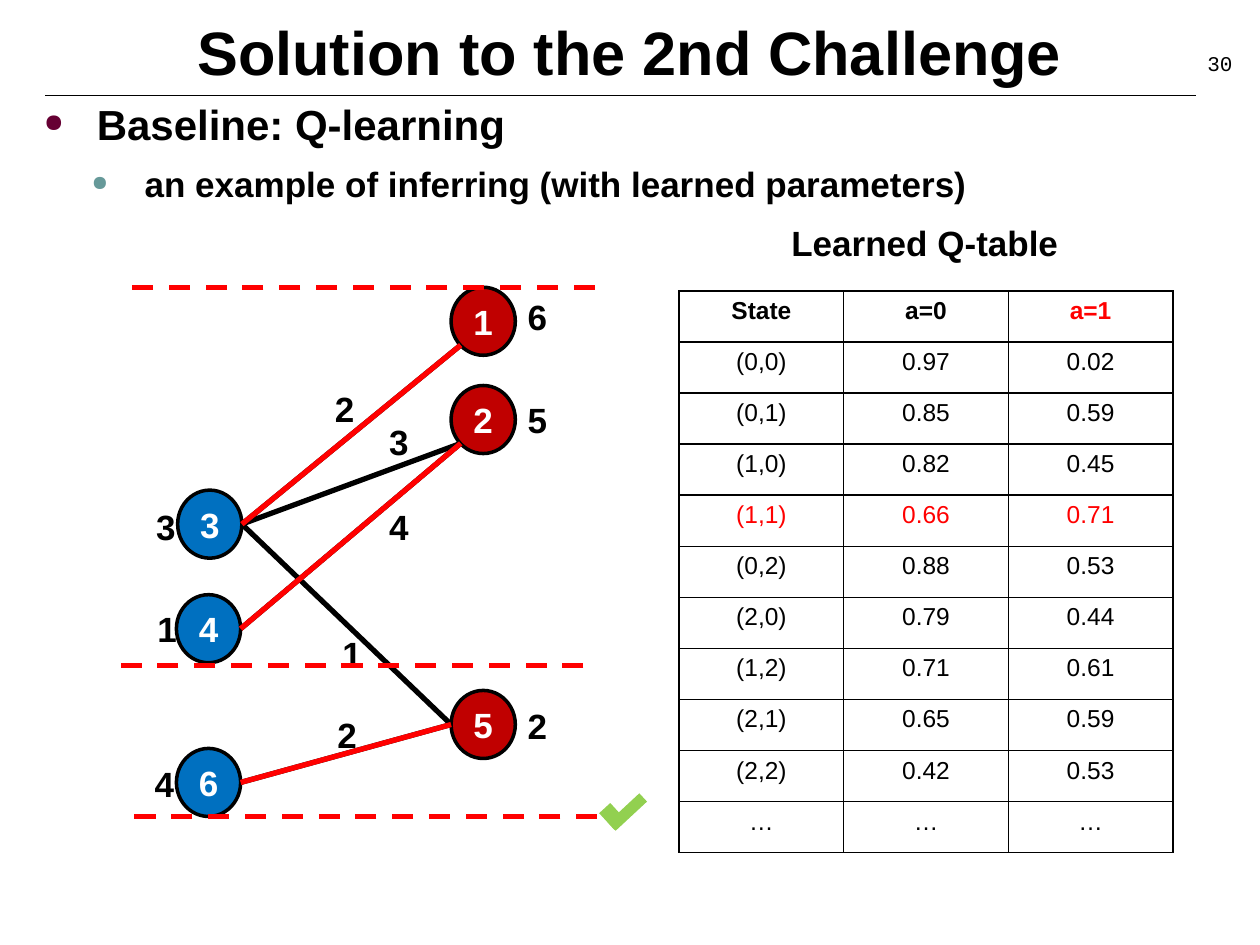
from lxml import etree
from pptx import Presentation
from pptx.dml.color import RGBColor
from pptx.enum.dml import MSO_LINE
from pptx.enum.shapes import MSO_CONNECTOR, MSO_SHAPE
from pptx.enum.text import MSO_ANCHOR, PP_ALIGN
from pptx.oxml.ns import qn
from pptx.util import Inches, Pt

BLACK = RGBColor(0x00, 0x00, 0x00)
WHITE = RGBColor(0xFF, 0xFF, 0xFF)
RED = RGBColor(0xFF, 0x00, 0x00)
ACTOR_BLUE = RGBColor(0x00, 0x70, 0xC0)
ACTOR_RED = RGBColor(0xC0, 0x00, 0x00)
CHECK_GREEN = RGBColor(0x92, 0xD0, 0x50)
PLUM = RGBColor(0x66, 0x00, 0x33)
TEAL = RGBColor(0x66, 0x99, 0x99)

STRAIGHT = MSO_CONNECTOR.STRAIGHT
OVAL, RECTANGLE = MSO_SHAPE.OVAL, MSO_SHAPE.RECTANGLE
DASH = MSO_LINE.DASH
TOP, MIDDLE, BOTTOM = MSO_ANCHOR.TOP, MSO_ANCHOR.MIDDLE, MSO_ANCHOR.BOTTOM
LEFT, CENTER = PP_ALIGN.LEFT, PP_ALIGN.CENTER
RIGHT, JUSTIFY = PP_ALIGN.RIGHT, PP_ALIGN.JUSTIFY

# The slide is a grid of 100 columns by 75 rows of square cells.
COLUMNS, ROWS = 100, 75
CELL = Inches(0.1)

TITLE_FONT = {"name": "Arial", "size": Pt(35), "bold": True}
HEADING_FONT = {"name": "Arial", "size": Pt(24), "bold": True}
LABEL_FONT = {"name": "Arial", "size": Pt(20), "bold": True}
HEADER_FONT = {"name": "Arial", "size": Pt(14), "bold": True}
VALUE_FONT = {"name": "Arial", "size": Pt(14), "bold": False}
NUMBER_FONT = {"name": "Courier New", "size": Pt(12)}

NODE_WIDTH, NODE_HEIGHT = 5.1, 5.4
# node: column, row, fill
NODES = {
    "3": (14.1, 38.9, ACTOR_BLUE),
    "1": (35.8, 22.8, ACTOR_RED),
    "2": (35.8, 30.6, ACTOR_RED),
    "4": (14, 47.2, ACTOR_BLUE),
    "5": (35.8, 54.8, ACTOR_RED),
    "6": (14, 59.4, ACTOR_BLUE),
}
# Where an edge meets a node, as shares of the node's width and height
PORTS = {"left": (0, 0.5), "lower left": (0.15, 0.85), "right": (1, 0.5)}
# right node, its port, left node, matched
EDGES = [
    ("1", "lower left", "3", True),
    ("2", "lower left", "3", False),
    ("2", "lower left", "4", True),
    ("5", "left", "3", False),
    ("5", "left", "6", True),
]
# weight, column, row, height
EDGE_WEIGHTS = [
    ("2", 25.6, 30.3, 6.2), ("3", 29.9, 32.9, 6.2), ("4", 29.9, 39.6, 6.2),
    ("1", 26.2, 49.7, 6.2), ("2", 25.8, 56.1, 4.4),
]
# arrival label, column, row
NODE_LABELS = [
    ("6", 40.9, 23), ("5", 40.9, 31.1), ("3", 11.4, 39.6),
    ("1", 11.5, 47.7), ("2", 40.9, 55.4), ("4", 11.3, 60),
]
BATCH_WIDTH = 37
BATCH_LINES = [(10.2, 22.8), (9.3, 52.8), (10.4, 64.8)]
# column, row, width, height, rotation
CHECK_STROKES = [(47.7, 64.2, 1.8, 1.2, 47.5), (48.1, 64, 3.4, 0.9, 137.1)]

Q_TABLE = [
    ("State", "a=0", "a=1"),
    ("(0,0)", "0.97", "0.02"),
    ("(0,1)", "0.85", "0.59"),
    ("(1,0)", "0.82", "0.45"),
    ("(1,1)", "0.66", "0.71"),
    ("(0,2)", "0.88", "0.53"),
    ("(2,0)", "0.79", "0.44"),
    ("(1,2)", "0.71", "0.61"),
    ("(2,1)", "0.65", "0.59"),
    ("(2,2)", "0.42", "0.53"),
    ("…", "…", "…"),
]
CURRENT_STATE = "(1,1)"


def grid(*cells):
    return [round(cell * CELL) for cell in cells]


def set_all(target, values):
    for attribute, value in values.items():
        setattr(target, attribute, value)


def write(frame, text, font, color=BLACK, align=CENTER, anchor=TOP):
    set_all(frame, {"word_wrap": True, "vertical_anchor": anchor})
    return write_paragraph(frame.paragraphs[0], text, font, color, align)


def write_paragraph(paragraph, text, font, color, align):
    paragraph.alignment = align
    run = paragraph.add_run()
    run.text = text
    set_all(run.font, font)
    run.font.color.rgb = color
    return paragraph


def add_label(slide, area, text, font=LABEL_FONT, align=CENTER):
    label = slide.shapes.add_textbox(*grid(*area))
    write(label.text_frame, text, font, align=align)


def add_line(slide, start, end, color, width, dash=None):
    line = slide.shapes.add_connector(STRAIGHT, *grid(*start, *end))
    line.line.color.rgb = color
    set_all(line.line, {"width": Pt(width), "dash_style": dash})
    etree.SubElement(line._element.spPr, qn("a:effectLst"))


def add_plain_shape(shapes, kind, area, fill):
    shape = shapes.add_shape(kind, *grid(*area))
    shape.shadow.inherit = False
    shape.fill.solid()
    shape.fill.fore_color.rgb = fill
    return shape


def add_node(slide, name):
    column, row, fill = NODES[name]
    node = add_plain_shape(slide.shapes, OVAL, (column, row, NODE_WIDTH, NODE_HEIGHT), fill)
    node.line.color.rgb = BLACK
    node.line.width = Pt(2)
    write(node.text_frame, name, LABEL_FONT, WHITE, anchor=MIDDLE)


def port(name, side):
    column, row, _ = NODES[name]
    across, down = PORTS[side]
    return column + across * NODE_WIDTH, row + down * NODE_HEIGHT


def add_edges(slide, edges, color):
    for right_node, side, left_node, _ in edges:
        add_line(slide, port(right_node, side), port(left_node, "right"), color, 3)


def add_check_mark(slide):
    check = slide.shapes.add_group_shape()
    for *area, rotation in CHECK_STROKES:
        stroke = add_plain_shape(check.shapes, RECTANGLE, area, CHECK_GREEN)
        stroke.line.fill.background()
        stroke.rotation = rotation


def set_bullet(paragraph, color, margin):
    properties = paragraph._p.get_or_add_pPr()
    properties.set("marL", str(Inches(margin)))
    properties.set("indent", str(-Inches(0.42)))
    bullet_color = etree.SubElement(properties, qn("a:buClr"))
    etree.SubElement(bullet_color, qn("a:srgbClr"), val=str(color))
    etree.SubElement(properties, qn("a:buSzPct"), val="60000")
    etree.SubElement(properties, qn("a:buChar"), char="●")


def add_outline(slide):
    frame = slide.shapes.add_textbox(*grid(2.5, 7.6, 96.3, 63.8)).text_frame
    heading = write(frame, "Baseline: Q-learning", HEADING_FONT, align=JUSTIFY)
    set_all(heading, {"line_spacing": 0.95, "space_after": Pt(3)})
    set_bullet(heading, PLUM, 0.42)
    example = write_paragraph(frame.add_paragraph(),
                              "an example of inferring (with learned parameters)",
                              LABEL_FONT, BLACK, JUSTIFY)
    set_all(example, {"level": 1, "line_spacing": 0.95, "space_before": Pt(6)})
    set_bullet(example, TEAL, 0.8)


def set_borders(cell):
    properties = cell._tc.get_or_add_tcPr()
    for position, side in enumerate(("lnL", "lnR", "lnT", "lnB")):
        border = etree.Element(qn(f"a:{side}"), w=str(Pt(1)))
        fill = etree.SubElement(border, qn("a:solidFill"))
        etree.SubElement(fill, qn("a:srgbClr"), val=str(BLACK))
        properties.insert(position, border)


def add_q_table(slide):
    table = slide.shapes.add_table(len(Q_TABLE), len(Q_TABLE[0]),
                                   *grid(53.9, 23.1, 39.2, 44.6)).table
    set_all(table, {"first_row": False, "horz_banding": False})
    for row, values in enumerate(Q_TABLE):
        for column, value in enumerate(values):
            cell = table.cell(row, column)
            cell.fill.solid()
            cell.fill.fore_color.rgb = WHITE
            set_borders(cell)
            color = RED if value == "a=1" or values[0] == CURRENT_STATE else BLACK
            write_paragraph(cell.text_frame.paragraphs[0], value,
                            VALUE_FONT if row else HEADER_FONT, color, CENTER)


def add_title(slide):
    title = slide.shapes.title
    left, top, width, height = grid(0, -0.3, COLUMNS, 7.8)
    set_all(title, {"left": left, "top": top, "width": width, "height": height})
    write(title.text_frame, "Solution to the 2nd Challenge", TITLE_FONT, anchor=BOTTOM)
    add_line(slide, (3.6, 7.6), (94.9, 7.6), BLACK, 0.75)
    add_label(slide, (75.5, 3.5, 23.3, 2.8), "30", NUMBER_FONT, RIGHT)


def add_matching_graph(slide):
    for name in NODES:
        add_node(slide, name)
    add_edges(slide, EDGES, BLACK)
    for weight, column, row, height in EDGE_WEIGHTS:
        add_label(slide, (column, row, 5.4, height), weight, align=LEFT)
    for label, column, row in NODE_LABELS:
        add_label(slide, (column, row, 2.6, 4.4), label)
    for column, row in BATCH_LINES:
        add_line(slide, (column + BATCH_WIDTH, row), (column, row), RED, 3, DASH)
    add_edges(slide, [edge for edge in EDGES if edge[-1]], RED)
    add_check_mark(slide)


def main():
    deck = Presentation()
    set_all(deck, {"slide_width": COLUMNS * CELL, "slide_height": ROWS * CELL})
    slide = deck.slides.add_slide(deck.slide_layouts[5])
    add_title(slide)
    add_outline(slide)
    add_q_table(slide)
    add_label(slide, (53.5, 17.1, 39.8, 4.4), "Learned Q-table")
    add_matching_graph(slide)
    deck.save("out.pptx")


if __name__ == "__main__":
    main()
